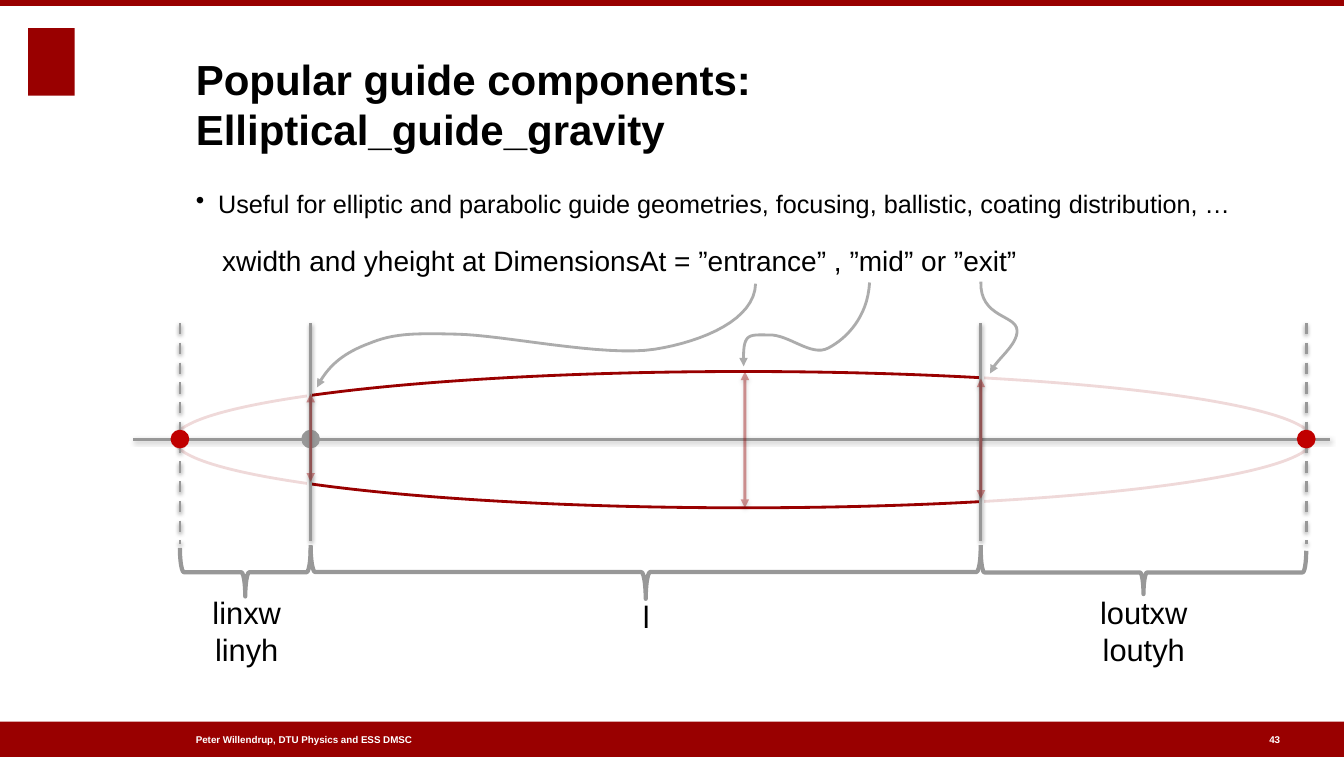
from typing import NamedTuple

from lxml.etree import SubElement
from pptx import Presentation
from pptx.dml.color import RGBColor
from pptx.enum.dml import MSO_LINE
from pptx.enum.shapes import MSO_CONNECTOR, MSO_SHAPE
from pptx.enum.text import MSO_ANCHOR, PP_ALIGN
from pptx.oxml.ns import qn
from pptx.util import Cm, Pt

RED = RGBColor(0x99, 0x00, 0x00)
FOCUS = RGBColor(0xC0, 0x00, 0x00)
GREY = RGBColor(0x98, 0x98, 0x98)
WHITE = RGBColor(0xFF, 0xFF, 0xFF)
BLACK = RGBColor(0x00, 0x00, 0x00)

# Key places in cm
WIDE, HIGH = 33.83, 19.05
AXIS = 11.05
START, MID, EXIT = 7.82, 18.75, 24.69
LEFT, RIGHT = 4.53, 32.88
INDENT = 4.93


class Box(NamedTuple):
    x: float
    y: float
    w: float
    h: float


class Label(NamedTuple):
    text: str
    box: Box
    size: int
    bold: bool = False
    color: RGBColor = BLACK
    align: PP_ALIGN = PP_ALIGN.LEFT
    anchor: MSO_ANCHOR = MSO_ANCHOR.TOP
    bullet: bool = False


class Line(NamedTuple):
    x1: float
    y1: float
    x2: float
    y2: float
    color: RGBColor = GREY
    dashed: bool = False
    arrows: bool = False


class Brace(NamedTuple):
    x1: float
    x2: float
    y: float
    depth: float


class Curve(NamedTuple):
    start: tuple
    bends: list  # two control points and an end for each bend


LABELS = [
    Label("Peter Willendrup, DTU Physics and ESS DMSC", Box(INDENT, 18.44, 9.45, 0.36),
          7, True, WHITE, anchor=MSO_ANCHOR.MIDDLE),
    Label("43", Box(31.95, 18.44, 0.36, 0.36), 7, True, WHITE, anchor=MSO_ANCHOR.MIDDLE),
    Label("Popular guide components: Elliptical_guide_gravity",
          Box(INDENT, 1.19, 25.86, 2.69), 30, True, anchor=MSO_ANCHOR.BOTTOM),
    Label("Useful for elliptic and parabolic guide geometries, focusing, ballistic, "
          "coating distribution, …", Box(INDENT, 4.75, 26.97, 1), 18, bullet=True),
    Label("xwidth and yheight at DimensionsAt = ”entrance” , ”mid” or ”exit”",
          Box(5.59, 6.12, 23.01, 0.79), 20),
    Label("linxw\nlinyh", Box(4.52, 14.94, 3.38, 1.8), 22, align=PP_ALIGN.CENTER),
    Label("l", Box(14.58, 15.04, 3.38, 0.89), 22, align=PP_ALIGN.CENTER),
    Label("loutxw\nloutyh", Box(27.1, 14.94, 3.38, 1.8), 22, align=PP_ALIGN.CENTER),
]
RULES = [
    Line(3.35, AXIS, 33.48, AXIS),
    Line(START, 8.13, START, 13.61),
    Line(EXIT, 8.13, EXIT, 13.61),
    Line(LEFT, 8.13, LEFT, 13.69, dashed=True),
    Line(RIGHT, 8.13, RIGHT, 13.69, dashed=True),
]
SPANS = [
    Line(MID, 9.35, MID, 12.78, RED, arrows=True),
    Line(EXIT, 9.53, EXIT, 12.55, RED, arrows=True),
    Line(START, 9.91, START, 12.12, RED, arrows=True),
]
BRACES = [
    Brace(START, EXIT, 13.72, 1.35),
    Brace(EXIT, RIGHT, 13.86, 1.09),
    Brace(LEFT, START, 13.79, 1.22),
]
DOTS = [(LEFT, FOCUS), (RIGHT, FOCUS), (START, GREY)]
CURVES = [
    Curve((19.02, 7.14), [
        ((19, 8.03), (17.73, 8.59), (16.48, 8.79)),
        ((15.21, 8.99), (12.67, 8.43), (11.48, 8.41)),
        ((10.29, 8.38), (9.88, 8.41), (9.3, 8.64)),
        ((8.71, 8.86), (8.26, 9.17), (7.98, 9.75))]),
    Curve((21.89, 7.11), [
        ((21.84, 8), (21.29, 8.53), (20.85, 8.76)),
        ((20.42, 8.99), (19.86, 8.41), (19.35, 8.43)),
        ((18.82, 8.43), (18.69, 8.36), (18.72, 9.22))]),
    Curve((24.69, 7.09), [
        ((24.66, 8), (25.58, 7.92), (25.6, 8.31)),
        ((25.63, 8.69), (25.04, 9.07), (24.92, 9.4))]),
]


def fade(part, percent: int) -> None:
    """Set the opacity of the first solid colour within part."""
    tint = next(part.iter(qn("a:srgbClr")))
    SubElement(tint, qn("a:alpha"), val=str(percent * 1000))


def tip(item, *ends: str) -> None:
    edge = item.element.spPr.find(qn("a:ln"))
    for end in ends:
        SubElement(edge, qn(f"a:{end}"), type="triangle")


def shade(item) -> None:
    effect = SubElement(item.element.spPr, qn("a:effectLst"))
    cast = SubElement(effect, qn("a:outerShdw"), blurRad=str(Pt(3)),
                      dist=str(Pt(1.6)), dir="5400000", rotWithShape="0")
    tint = SubElement(cast, qn("a:srgbClr"), val=str(BLACK))
    SubElement(tint, qn("a:alpha"), val="38000")


def draw_shape(slide, kind: MSO_SHAPE, box: Box, fill: RGBColor | None,
               edge: RGBColor | None = None, width: float = 2):
    item = slide.shapes.add_shape(kind, *map(Cm, box))
    item.shadow.inherit = False
    if fill is None:
        item.fill.background()
    else:
        item.fill.solid()
        item.fill.fore_color.rgb = fill
    if edge is None:
        item.line.fill.background()
    else:
        item.line.color.rgb = edge
        item.line.width = Pt(width)
    return item


def draw_line(slide, line: Line) -> None:
    item = slide.shapes.add_connector(
        MSO_CONNECTOR.STRAIGHT, *map(Cm, (line.x1, line.y1, line.x2, line.y2)))
    item.line.color.rgb = line.color
    item.line.width = Pt(2)
    if line.dashed:
        item.line.dash_style = MSO_LINE.DASH
    if line.arrows:
        fade(item.element.spPr, 40)
        tip(item, "headEnd", "tailEnd")
    shade(item)


def draw_brace(slide, brace: Brace) -> None:
    # The box is given upright, then turned so that the point faces down
    span = brace.x2 - brace.x1
    box = Box((brace.x1 + brace.x2 - brace.depth) / 2,
              brace.y + (brace.depth - span) / 2, brace.depth, span)
    draw_shape(slide, MSO_SHAPE.LEFT_BRACE, box, None, GREY, 3).rotation = 270


def trace(curve: Curve, steps: int = 16) -> list[tuple[int, int]]:
    points, first = [], curve.start
    for bend in curve.bends:
        for step in range(1, steps + 1):
            t = step / steps
            parts = ((1 - t) ** 3, 3 * t * (1 - t) ** 2, 3 * t * t * (1 - t), t ** 3)
            points.append(tuple(Cm(sum(p * v for p, v in zip(parts, axis)))
                                for axis in zip(first, *bend)))
        first = bend[-1]
    return points


def draw_curve(slide, curve: Curve) -> None:
    form = slide.shapes.build_freeform(*map(Cm, curve.start))
    form.add_line_segments(trace(curve), close=False)
    item = form.convert_to_shape()
    item.shadow.inherit = False
    item.fill.background()
    item.line.color.rgb = GREY
    item.line.width = Pt(2)
    fade(item.element.spPr, 80)
    tip(item, "tailEnd")


def draw_label(slide, label: Label) -> None:
    frame = slide.shapes.add_textbox(*map(Cm, label.box)).text_frame
    frame.word_wrap = True
    frame.margin_left = frame.margin_right = frame.margin_top = frame.margin_bottom = 0
    frame.vertical_anchor = label.anchor
    para = frame.paragraphs[0]
    para.alignment = label.align
    if label.bullet:
        props = para._p.get_or_add_pPr()
        props.set("marL", str(Cm(0.56)))
        props.set("indent", str(Cm(-0.56)))
        SubElement(props, qn("a:buChar"), char="•")
    for row, text in enumerate(label.text.split("\n")):
        if row:
            para.add_line_break()
        run = para.add_run()
        run.text = text
        run.font.name = "Arial"
        run.font.size = Pt(label.size)
        run.font.bold = label.bold
        run.font.color.rgb = label.color


def main() -> None:
    deck = Presentation()
    deck.slide_width, deck.slide_height = Cm(WIDE), Cm(HIGH)
    slide = deck.slides.add_slide(deck.slide_layouts[6])

    # Page bars and emblem block
    for box in (Box(0, 18.16, WIDE, 0.89), Box(0, 0, WIDE, 0.15), Box(0.71, 0.71, 1.17, 1.7)):
        draw_shape(slide, MSO_SHAPE.RECTANGLE, box, RED)

    # Guide ellipse, faded outside the entrance and exit
    draw_shape(slide, MSO_SHAPE.OVAL, Box(4.39, 9.35, 28.65, 3.43), WHITE, RED)
    for box in (Box(3.73, 7.62, 4.04, 6.58), Box(24.74, 7.42, 9.09, 6.88)):
        veil = draw_shape(slide, MSO_SHAPE.RECTANGLE, box, WHITE, WHITE)
        fade(veil.element.spPr, 85)

    # Axis, planes and lengths
    for rule in RULES:
        draw_line(slide, rule)
    for brace in BRACES:
        draw_brace(slide, brace)
    for x, color in DOTS:
        draw_shape(slide, MSO_SHAPE.OVAL, Box(x - 0.2, AXIS - 0.2, 0.4, 0.4), color, color)

    # Openings, pointers and wording
    for span in SPANS:
        draw_line(slide, span)
    for curve in CURVES:
        draw_curve(slide, curve)
    for label in LABELS:
        draw_label(slide, label)

    deck.save("out.pptx")


if __name__ == "__main__":
    main()
